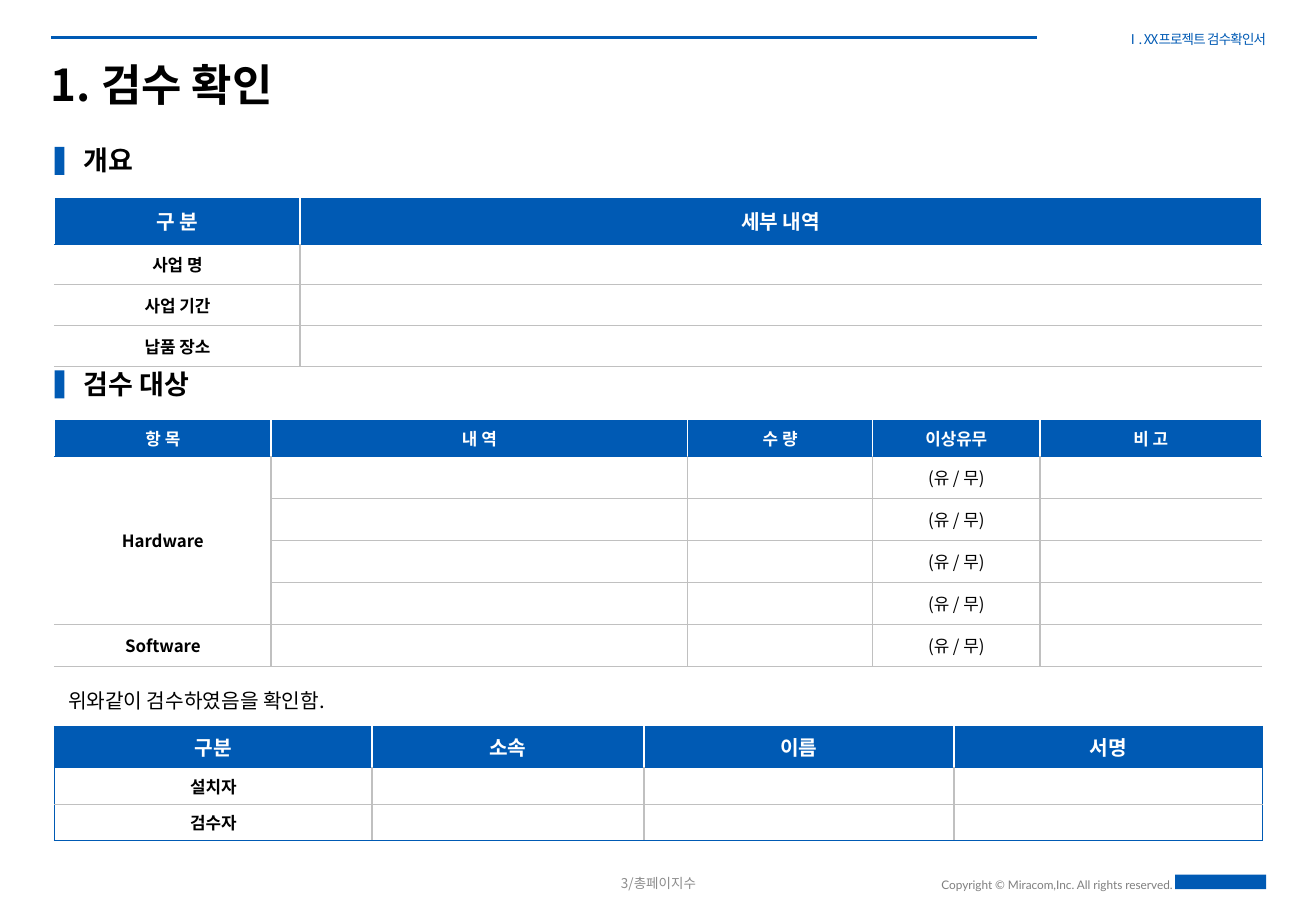
from lxml.etree import SubElement
from pptx import Presentation
from pptx.dml.color import RGBColor
from pptx.enum.shapes import MSO_CONNECTOR, MSO_SHAPE
from pptx.enum.text import MSO_ANCHOR, PP_ALIGN
from pptx.oxml.ns import qn
from pptx.util import Inches, Pt

LEFT, MID, RIGHT = PP_ALIGN.LEFT, PP_ALIGN.CENTER, PP_ALIGN.RIGHT
TOP, CENTER = MSO_ANCHOR.TOP, MSO_ANCHOR.MIDDLE
RECT, LINE = MSO_SHAPE.RECTANGLE, MSO_CONNECTOR.STRAIGHT
BLUE = RGBColor(0x00, 0x5A, 0xB4)
BLACK = RGBColor(0x00, 0x00, 0x00)
WHITE = RGBColor(0xFF, 0xFF, 0xFF)
GRAY = RGBColor(0xC0, 0xC0, 0xC0)
DIM = RGBColor(0x8C, 0x8C, 0x8C)
DARK = RGBColor(0x7F, 0x7F, 0x7F)
SANS, LATO = "Noto Sans CJK KR", "Lato"
EDGE = 0.45  # left edge of tables and heading bars

deck = Presentation()
deck.slide_width, deck.slide_height = Inches(10.83), Inches(7.5)
slide = deck.slides.add_slide(deck.slide_layouts[6])
shapes = slide.shapes


def write(frame, text, size, color, bold=False, align=LEFT, face=SANS, gap=0):
    para = frame.paragraphs[0]
    para.text, para.alignment = text, align
    font = para.font
    font.size, font.bold, font.name = Pt(size), bold, face
    font.color.rgb = color
    props = para._p.pPr.find(qn("a:defRPr"))
    SubElement(props, qn("a:ea")).set("typeface", face)
    if gap:
        props.set("spc", str(gap))


def rule(cell, side, color, width):
    line = SubElement(cell._tc.get_or_add_tcPr(), qn("a:" + side))
    line.set("w", str(Pt(width)))
    fill = SubElement(line, qn("a:solidFill"))
    SubElement(fill, qn("a:srgbClr")).set("val", str(color))


# Top line
line = shapes.add_connector(LINE, Inches(0.42), Inches(0.31), Inches(8.53), Inches(0.31))
line.line.color.rgb, line.line.width = BLUE, Pt(1.5)
SubElement(line._element.spPr, qn("a:effectLst"))

# Texts: place, anchor, wrap, then text and its style
texts = [
    ((8.68, 0.16, 1.74, 0.32), CENTER, True,
     ("Ⅰ. XX프로젝트 검수확인서", 8, BLUE, False, RIGHT, SANS, -50)),
    ((0.42, 0.47, 10, 0.44), CENTER, True, ("1. 검수 확인", 26, BLACK, True)),
    ((0.69, 1.18, 9.7, 0.27), TOP, True, ("개요", 16, BLACK, True)),
    ((0.69, 3.03, 9.7, 0.27), TOP, True, ("검수 대상", 16, BLACK, True)),
    ((0.56, 5.67, 2.35, 0.2), TOP, False, ("위와같이 검수하였음을 확인함.", 12, BLACK)),
    ((4.2, 7.07, 2.44, 0.4), CENTER, True, ("3/총페이지수", 8, DIM, False, MID)),
    ((7.57, 7.22, 2.08, 0.12), CENTER, False,
     ("Copyright © Miracom,Inc. All rights reserved.", 7, DARK, False, RIGHT, LATO)),
]
for place, anchor, wrap, style in texts:
    frame = shapes.add_textbox(*map(Inches, place)).text_frame
    frame.margin_left = frame.margin_right = frame.margin_top = frame.margin_bottom = 0
    frame.vertical_anchor, frame.word_wrap = anchor, wrap
    write(frame, *style)

# Heading bars and footer mark
for place in [(EDGE, 1.21, 0.08, 0.23), (EDGE, 3.05, 0.08, 0.23), (9.67, 7.2, 0.75, 0.12)]:
    bar = shapes.add_shape(RECT, *map(Inches, place))
    bar.shadow.inherit = False
    bar.fill.solid()
    bar.fill.fore_color.rgb = BLUE
    bar.line.fill.background()

# Tables: top, column widths, head height, row height, head size, side and foot colours, rows
CHECK = ["", "", "(유 / 무)", ""]
tables = [
    (1.63, [2.02, 7.91], 0.38, 0.335, 12, WHITE, GRAY,
     [["구 분", "세부 내역"], ["사업 명", ""], ["사업 기간", ""], ["납품 장소", ""]]),
    (3.46, [1.78, 3.43, 1.52, 1.38, 1.82], 0.3, 0.345, 10, WHITE, GRAY,
     [["항 목", "내 역", "수 량", "이상유무", "비 고"], ["Hardware"] + CHECK,
      [""] + CHECK, [""] + CHECK, [""] + CHECK, ["Software"] + CHECK]),
    (5.98, [2.61, 2.24, 2.55, 2.54], 0.34, 0.3, 12, BLUE, BLUE,
     [["구분", "소속", "이름", "서명"], ["설치자", "", "", ""], ["검수자", "", "", ""]]),
]
for top, widths, head, high, size, rim, foot, rows in tables:
    tall = head + high * (len(rows) - 1)
    grid = shapes.add_table(len(rows), len(widths), Inches(EDGE), Inches(top),
                            Inches(sum(widths)), Inches(tall)).table
    grid.first_row = grid.horz_banding = False
    for col, width in zip(grid.columns, widths):
        col.width = Inches(width)
    for r, row in enumerate(rows):
        grid.rows[r].height = Inches(high if r else head)
        inner = GRAY if r else WHITE
        for c, text in enumerate(row):
            cell = grid.cell(r, c)
            last = r == len(rows) - 1
            rule(cell, "lnL", inner if c else rim, 1)
            rule(cell, "lnR", inner if c < len(row) - 1 else rim, 1)
            rule(cell, "lnT", GRAY if r > 1 else BLUE, 0.5)
            rule(cell, "lnB", foot if last else GRAY if r else BLUE, 0.5)
            cell.fill.solid()
            cell.fill.fore_color.rgb = WHITE if r else BLUE
            cell.vertical_anchor = CENTER
            cell.margin_top = cell.margin_bottom = Inches(0.04)
            bold = r == 0 or c == 0
            write(cell.text_frame, text, 10 if r else size, BLACK if r else WHITE, bold, MID)
    if "Hardware" in rows[1]:
        grid.cell(1, 0).merge(grid.cell(4, 0))

deck.save("out.pptx")
